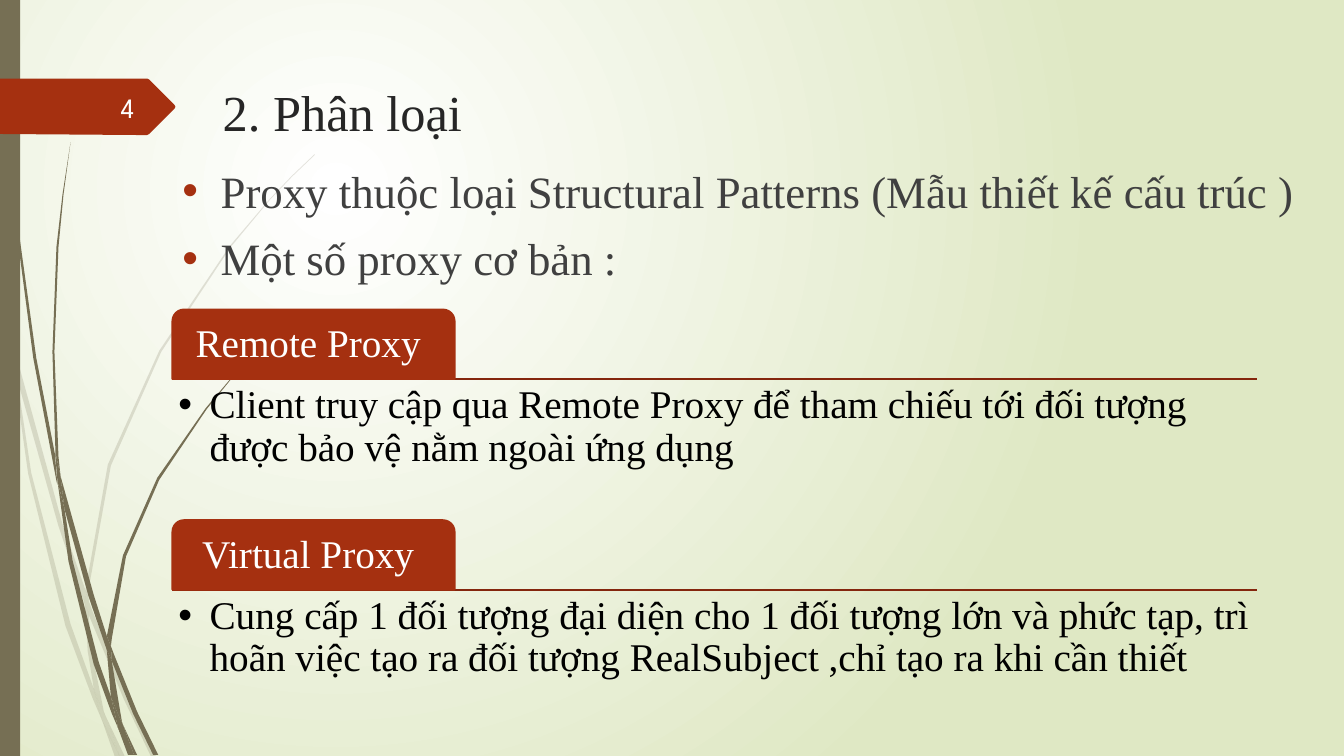
from lxml import etree
from pptx import Presentation
from pptx import util as u
from pptx.dml.color import RGBColor
from pptx.enum import shapes as kinds, text as txt
from pptx.oxml import ns

SERIF = "Times New Roman"
RED, OLIVE, DARK = "A53010", "766F54", "84260D"
LEFT, RIGHT = 1.71, 12.47

# Outlines of the grass blades, as x,y pairs in inches
PALE = [
    "0.11,3.5 0.09,3.22 0,2.82 0,2.99 0.1,3.44",
    "0.58,5.22 0.84,5.99 0.85,5.86 0.62,5.2 0.14,3.45 0.17,3.76",
    "0.92,6.07 0.88,5.96 0.88,6.1 1.23,6.94 1.5,7.51 1.55,7.51 1.27,6.92",
    "1.19,7.51 1.24,7.51 1.05,7.11",
    "0.93,6.83 0.7,6.19 0.31,4.69 0.17,3.76 0.11,3.5 0.28,4.7 0.65,6.21 "
    "0.92,6.93 1.01,7.14 0.99,7.07",
    "0.84,5.99 0.87,6.46 0.93,6.83 0.96,6.92 1.05,7.11 1.03,7.06 0.91,6.46 "
    "0.88,6.1 0.88,6.08",
    "0.88,5.84 1.1,4.62 1.6,3.49 2.29,2.45 2.68,1.98 2.9,1.75 3.12,1.54 "
    "3.12,1.53 2.89,1.75 2.68,1.97 2.28,2.44 1.58,3.48 1.07,4.61 0.85,5.84 "
    "0.85,5.86 0.88,5.96",
    "1.01,7.14 1.14,7.51 1.19,7.51",
    "0.88,6.08 0.88,6.1 0.88,5.96 0.85,5.86 0.84,5.99",
    "0.96,6.92 0.93,6.83 0.99,7.07 1.01,7.14 1.19,7.51 1.05,7.11",
]
DEEP = [
    "0.07,1.1 0.17,2.33 0.33,3.55 0.56,4.77 0.57,4.81 0.55,4.57 0.55,4.53 "
    "0.36,3.55 0.19,2.32 0.08,1.09 0.05,0.48 0.04,0 0.03,0 0.04,0.48",
    "0.88,5.92 1.06,6.45 1.06,6.33 1.06,6.31 0.93,5.9 0.6,4.72 0.64,5.05",
    "1.13,6.49 1.1,6.41 1.11,6.56 1.32,7.08 1.52,7.49 1.57,7.49 1.36,7.06",
    "1.1,6.91 0.98,6.57 0.72,5.56 0.64,5.05 0.57,4.77 0.68,5.57 0.93,6.59 "
    "1.11,7.08 1.17,7.22 1.16,7.17",
    "0.6,4.72 0.58,4.53 0.54,3.49 0.58,2.45 0.63,1.93 0.7,1.41 0.62,1.93 "
    "0.56,2.45 0.52,3.49 0.55,4.49",
    "1.33,7.49 1.36,7.49 1.22,7.19",
    "0.57,4.77 0.64,5.05 0.6,4.72 0.55,4.49 0.55,4.53",
    "1.11,6.33 1.25,5.52 1.58,4.76 2.05,4.06 2.31,3.74 2.45,3.59 2.61,3.44 "
    "2.6,3.44 2.45,3.58 2.31,3.73 2.04,4.05 1.56,4.74 1.22,5.51 1.06,6.31 "
    "1.1,6.41",
    "1.17,7.22 1.27,7.49 1.31,7.49",
    "1.06,6.45 1.1,6.91 1.16,7.06 1.22,7.19 1.21,7.16 1.11,6.56 1.09,6.51",
    "1.06,6.45 1.09,6.51 1.11,6.56 1.1,6.41 1.06,6.31 1.06,6.33",
    "1.16,7.06 1.1,6.91 1.16,7.17 1.17,7.22 1.3,7.49 1.33,7.49 1.22,7.19",
]
FLAG = ("1.73,1.08 1.48,1.33 1.46,1.34 1.36,1.34 0,1.33 0,0.78 1.36,0.78 "
        "1.46,0.78 1.48,0.79 1.73,1.04 1.74,1.06")

PROXIES = [
    (3.07, "Remote Proxy", "Client truy cập qua Remote Proxy để tham chiếu tới "
     "đối tượng được bảo vệ nằm ngoài ứng dụng"),
    (5.16, "Virtual Proxy", "Cung cấp 1 đối tượng đại diện cho 1 đối tượng lớn "
     "và phức tạp, trì hoãn việc tạo ra đối tượng RealSubject ,chỉ tạo ra khi "
     "cần thiết"),
]


def color(code):
    return RGBColor.from_string(code)


def node(parent, tag, **attrs):
    return etree.SubElement(parent, ns.qn(tag), attrs)


def paint(shape, fill, line=None, alpha=None):
    shape.shadow.inherit = False
    shape.fill.solid()
    shape.fill.fore_color.rgb = color(fill)
    if alpha:
        rgb = shape.element.spPr.find(".//" + ns.qn("a:srgbClr"))
        node(rgb, "a:alpha", val=str(alpha * 1000))
    if line:
        shape.line.color.rgb = color(line)
        shape.line.width = u.Pt(1.25)
    else:
        shape.line.fill.background()


def outline(slide, points, fill, alpha=None):
    pairs = [tuple(u.Inches(float(n)) for n in pair.split(","))
             for pair in points.split()]
    pen = slide.shapes.build_freeform(*pairs[0])
    pen.add_line_segments(pairs[1:], close=True)
    paint(pen.convert_to_shape(), fill, alpha=alpha)


def block(slide, kind, box, fill, line=None):
    shape = slide.shapes.add_shape(kind, *map(u.Inches, box))
    paint(shape, fill, line)
    return shape


def rule(slide, y):
    line = slide.shapes.add_connector(
        kinds.MSO_CONNECTOR.STRAIGHT, u.Inches(LEFT), u.Inches(y),
        u.Inches(RIGHT), u.Inches(y))
    line.line.color.rgb = color(DARK)
    line.line.width = u.Pt(1.25)
    node(line.element.spPr, "a:effectLst")


def bullet(para, indent, tint):
    props = para._p.get_or_add_pPr()
    props.set("marL", str(u.Inches(indent)))
    props.set("indent", str(-u.Inches(indent)))
    node(node(props, "a:buClr"), "a:srgbClr", val=tint)
    node(props, "a:buFont", typeface="Arial")
    node(props, "a:buChar", char="•")


def words(slide, box, lines, size, tint, font=SERIF, align="LEFT", mid=False,
          inset=None, before=0, space=1.0, indent=None, dot=None):
    frame = slide.shapes.add_textbox(*map(u.Inches, box)).text_frame
    frame.word_wrap = True
    frame.vertical_anchor = getattr(txt.MSO_ANCHOR, "MIDDLE" if mid else "TOP")
    if inset:
        frame.margin_left = frame.margin_right = u.Inches(inset)
        frame.margin_top = frame.margin_bottom = u.Inches(inset)
    for i, line in enumerate(lines):
        para = frame.add_paragraph() if i else frame.paragraphs[0]
        para.alignment = getattr(txt.PP_ALIGN, align)
        para.line_spacing = space
        para.space_before = u.Pt(before)
        if indent:
            bullet(para, indent, dot)
        run = para.add_run()
        run.text = line
        run.font.name = font
        run.font.size = u.Pt(size)
        run.font.color.rgb = color(tint)


def backdrop(slide):
    fill = slide.background.fill
    fill.gradient()
    for stop, tint in zip(fill.gradient_stops, ("FFFFFF", "DFE8C4")):
        stop.color.rgb = color(tint)
    grad = slide.element.find(".//" + ns.qn("a:gradFill"))
    grad.remove(grad.find(ns.qn("a:lin")))
    node(node(grad, "a:path", path="circle"), "a:fillToRect",
         l="50000", t="50000", r="100000", b="100000")


def proxy(slide, top, name, note):
    base = top + 0.69
    tab = block(slide, kinds.MSO_SHAPE.ROUND_2_SAME_RECTANGLE,
                (LEFT, top, 2.8, 0.69), RED, RED)
    tab.adjustments[0] = 0.167
    words(slide, (1.74, top + 0.03, 2.73, 0.65), [name + " "], 28, "FFFFFF",
          align="CENTER", mid=True, inset=0.06, space=0.9)
    words(slide, (LEFT, base, RIGHT - LEFT, 1.37), [note], 28, "000000",
          inset=0.06, space=0.9, indent=0.31, dot="000000")


def main():
    deck = Presentation()
    deck.slide_width, deck.slide_height = u.Inches(13.33), u.Inches(7.5)
    slide = deck.slides.add_slide(deck.slide_layouts[6])

    # Background, grass, side bar and number flag
    backdrop(slide)
    for blade in PALE:
        outline(slide, blade, OLIVE, alpha=20)
    for blade in DEEP:
        outline(slide, blade, OLIVE)
    block(slide, kinds.MSO_SHAPE.RECTANGLE, (0, 0, 0.2, 7.5), OLIVE)
    outline(slide, FLAG, RED)

    # Title, main points and slide number
    words(slide, (2.11, 0.76, 10.36, 0.8), ["2. Phân loại"], 36, "262626")
    words(slide, (LEFT, 1.57, 11.4, 5.81),
          ["Proxy thuộc loại Structural Patterns (Mẫu thiết kế cấu trúc )",
           "Một số proxy cơ bản :"],
          32, "404040", before=10, indent=0.38, dot=RED)
    words(slide, (0.58, 0.86, 0.85, 0.4), ["4"], 20, "FEFFFF",
          font="League Spartan", align="RIGHT", mid=True)

    # Kinds of proxy
    for top, name, note in PROXIES:
        rule(slide, top + 0.69)
        proxy(slide, top, name, note)

    deck.save("out.pptx")


main()
